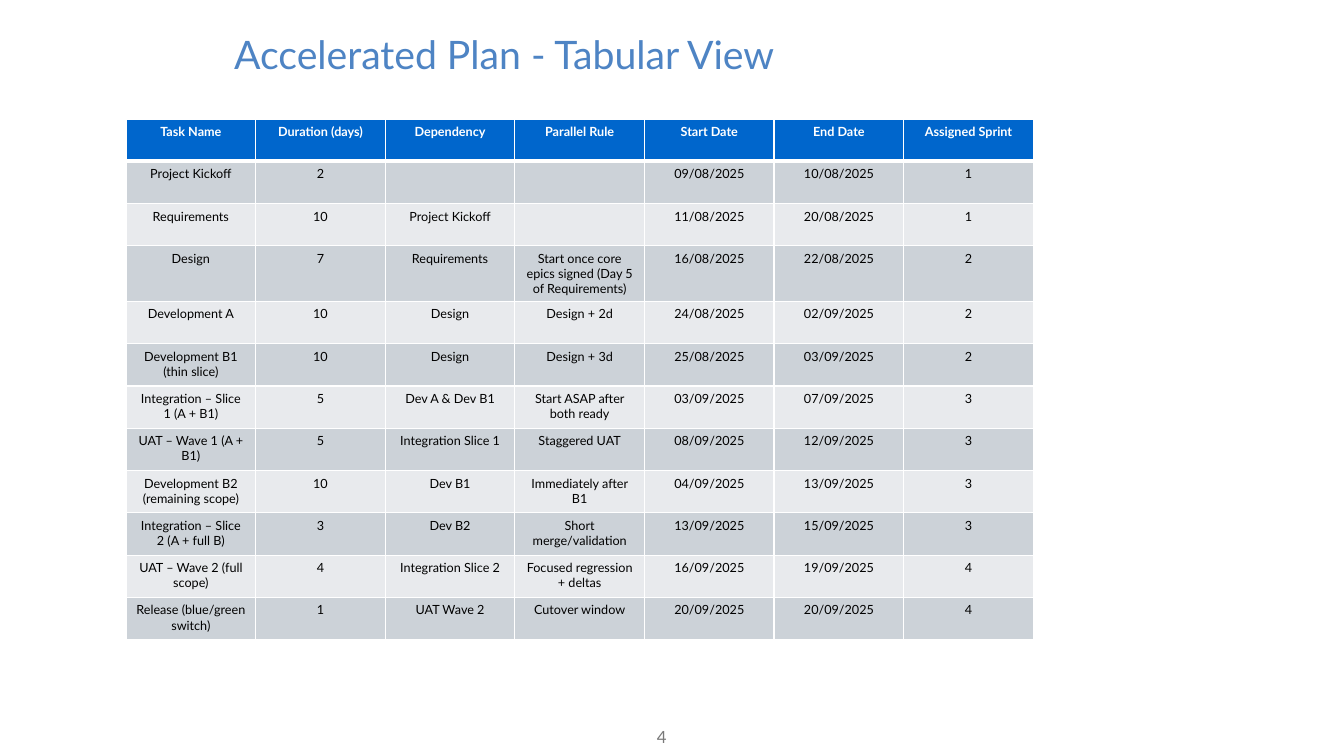
from dataclasses import astuple, dataclass

from lxml.etree import SubElement
from pptx import Presentation
from pptx.dml.color import RGBColor
from pptx.enum.text import MSO_ANCHOR, MSO_AUTO_SIZE, PP_ALIGN
from pptx.oxml.ns import qn
from pptx.util import Inches, Pt

FONT = "Lato"
WHITE, BLACK = "FFFFFF", "000000"
TITLE_BLUE, HEADER_BLUE, PAGE_GREY = "4E84C4", "0066CC", "797979"
BANDS = ("CCD2D8", "E8EAED")
ROW_HEIGHT = 0.42
TABLE_WIDTH = 9


@dataclass
class Task:
    name: str
    days: str
    dependency: str
    rule: str
    start: str
    end: str
    sprint: str


HEADER = Task("Task Name", "Duration (days)", "Dependency", "Parallel Rule",
              "Start Date", "End Date", "Assigned Sprint")
TASKS = [
    Task("Project Kickoff", "2", "", "", "09/08/2025", "10/08/2025", "1"),
    Task("Requirements", "10", "Project Kickoff", "", "11/08/2025", "20/08/2025", "1"),
    Task("Design", "7", "Requirements",
         "Start once core epics signed (Day 5 of Requirements)",
         "16/08/2025", "22/08/2025", "2"),
    Task("Development A", "10", "Design", "Design + 2d", "24/08/2025", "02/09/2025", "2"),
    Task("Development B1 (thin slice)", "10", "Design", "Design + 3d",
         "25/08/2025", "03/09/2025", "2"),
    Task("Integration – Slice 1 (A + B1)", "5", "Dev A & Dev B1",
         "Start ASAP after both ready", "03/09/2025", "07/09/2025", "3"),
    Task("UAT – Wave 1 (A + B1)", "5", "Integration Slice 1", "Staggered UAT",
         "08/09/2025", "12/09/2025", "3"),
    Task("Development B2 (remaining scope)", "10", "Dev B1", "Immediately after B1",
         "04/09/2025", "13/09/2025", "3"),
    Task("Integration – Slice 2 (A + full B)", "3", "Dev B2", "Short merge/validation",
         "13/09/2025", "15/09/2025", "3"),
    Task("UAT – Wave 2 (full scope)", "4", "Integration Slice 2",
         "Focused regression + deltas", "16/09/2025", "19/09/2025", "4"),
    Task("Release (blue/green switch)", "1", "UAT Wave 2", "Cutover window",
         "20/09/2025", "20/09/2025", "4"),
]


def rgb(hex_color: str) -> RGBColor:
    return RGBColor.from_string(hex_color)


def write(tf, text: str, size: float, color: str, align=PP_ALIGN.CENTER,
          bold: bool = False) -> None:
    p = tf.paragraphs[0]
    p.text = text
    p.alignment = align
    for r in p.runs:
        r.font.name = FONT
        r.font.size = Pt(size)
        r.font.bold = bold
        r.font.color.rgb = rgb(color)


def add_borders(cell, bottom: float) -> None:
    tc_pr = cell._tc.get_or_add_tcPr()
    for side, width in (("L", 1), ("R", 1), ("T", 1), ("B", bottom)):
        line = SubElement(tc_pr, qn(f"a:ln{side}"), w=str(Pt(width)))
        fill = SubElement(line, qn("a:solidFill"))
        SubElement(fill, qn("a:srgbClr"), val=WHITE)


def add_title(slide, text: str) -> None:
    sp = slide.shapes.title
    sp.left, sp.top, sp.width, sp.height = map(Inches, (0.5, 0.3, 9, 1.25))
    tf = sp.text_frame
    tf.vertical_anchor = MSO_ANCHOR.TOP
    tf.auto_size = MSO_AUTO_SIZE.NONE
    write(tf, text, 28, TITLE_BLUE)
    tf.paragraphs[0].line_spacing = 0.9


def add_plan(slide, rows: list[Task]) -> None:
    columns = len(astuple(rows[0]))
    table = slide.shapes.add_table(
        len(rows), columns, Inches(1.25), Inches(1.18),
        Inches(TABLE_WIDTH), Inches(ROW_HEIGHT * len(rows))).table
    for column in table.columns:
        column.width = Inches(TABLE_WIDTH / columns)
    for i, task in enumerate(rows):
        is_header = i == 0
        table.rows[i].height = Inches(ROW_HEIGHT)
        for cell, text in zip(table.rows[i].cells, astuple(task)):
            add_borders(cell, bottom=3 if is_header else 1)
            cell.fill.solid()
            cell.fill.fore_color.rgb = rgb(HEADER_BLUE if is_header else BANDS[(i - 1) % 2])
            write(cell.text_frame, text, 9, WHITE if is_header else BLACK, bold=is_header)


def add_page_number(slide, number: str) -> None:
    sp = slide.shapes.add_textbox(*map(Inches, (6.27, 7.21, 0.44, 0.19)))
    tf = sp.text_frame
    tf.word_wrap = True
    tf.vertical_anchor = MSO_ANCHOR.MIDDLE
    write(tf, number, 12, PAGE_GREY, PP_ALIGN.RIGHT)


def main() -> None:
    prs = Presentation()
    prs.slide_width, prs.slide_height = Inches(13.33), Inches(7.5)
    slide = prs.slides.add_slide(prs.slide_layouts[5])

    # Title, plan table and page number
    add_title(slide, "Accelerated Plan - Tabular View")
    add_plan(slide, [HEADER, *TASKS])
    add_page_number(slide, "4")

    prs.save("out.pptx")


if __name__ == "__main__":
    main()
